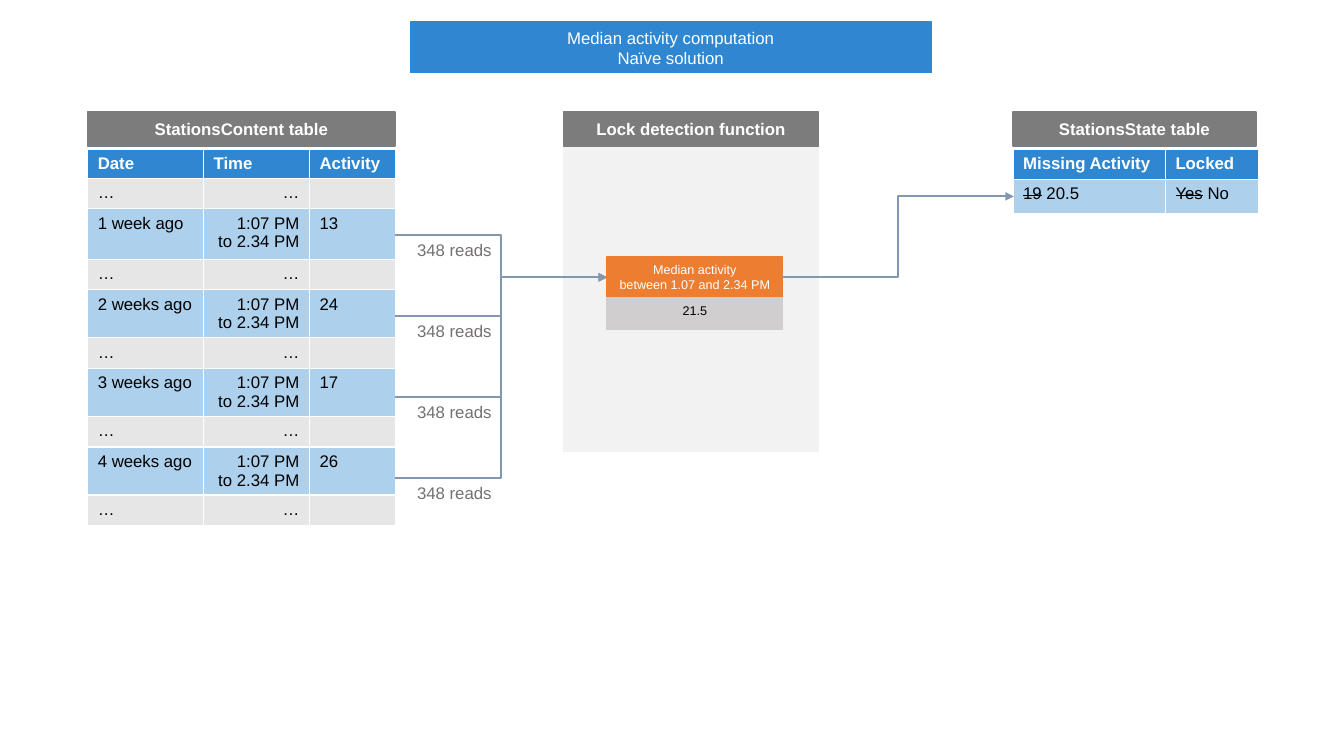
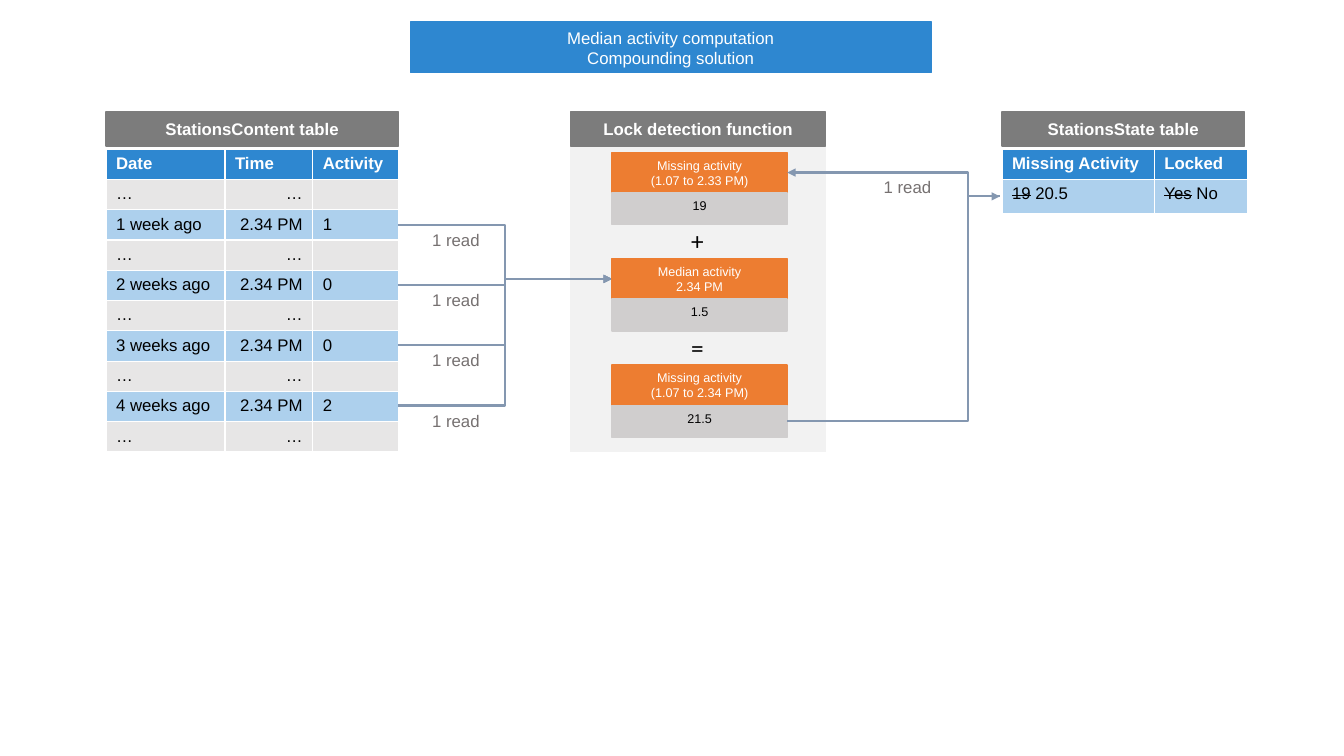
from lxml.etree import SubElement
from pptx import Presentation
from pptx.dml.color import RGBColor
from pptx.enum.shapes import MSO_CONNECTOR, MSO_SHAPE
from pptx.enum.text import MSO_ANCHOR, PP_ALIGN
from pptx.oxml.ns import qn
from pptx.util import Cm, Pt

BLUE, LIGHT_BLUE, GREY = "2E87D0", "ADD0ED", "E7E6E6"
HEADER, PANEL = "7C7C7C", "F2F2F2"
ORANGE, SILVER = "ED7D31", "D0CECE"
WHITE, BLACK, LABEL, WIRE = "FFFFFF", "000000", "767171", "8497B0"

HEADER_TOP, HEADER_HEIGHT, TABLE_TOP = 2.82, 0.86, 3.76
FUNCTION_WIDTH, PANEL_HEIGHT = 6.43, 7.7
CARD_WIDTH, CARD_TITLE, CARD_VALUE = 4.42, 1.02, 0.8
ROW, STATE_ARROW = 0.73, 4.95
WEEKS = ["1 week ago", "2 weeks ago", "3 weeks ago", "4 weeks ago"]


def color(value):
    return RGBColor.from_string(value)


def write(frame, lines, size=12, ink=BLACK, bold=False, align=PP_ALIGN.LEFT, font="Arial"):
    for index, line in enumerate(lines):
        paragraph = frame.add_paragraph() if index else frame.paragraphs[0]
        paragraph.alignment = align
        for text, struck in [(line, False)] if isinstance(line, str) else line:
            run = paragraph.add_run()
            run.text = text
            run.font.name, run.font.size, run.font.bold = font, Pt(size), bold
            run.font.color.rgb = color(ink)
            if struck:
                run._r.get_or_add_rPr().set("strike", "sngStrike")
    if not lines:
        frame.paragraphs[0]._p.get_or_add_endParaRPr().set("sz", str(size * 100))


class Diagram:
    def __init__(self):
        self.presentation = Presentation()
        self.presentation.slide_width, self.presentation.slide_height = Cm(33.87), Cm(19.05)
        self.slide = None

    def start(self, subtitle):
        self.slide = self.presentation.slides.add_slide(self.presentation.slide_layouts[6])
        self.box(10.34, 0.56, 13.13, 1.27, BLUE, ["Median activity computation", subtitle])

    def box(self, left, top, width, height, fill, lines=(), anchor=MSO_ANCHOR.MIDDLE, **style):
        shape = self.slide.shapes.add_shape(
            MSO_SHAPE.RECTANGLE, Cm(left), Cm(top), Cm(width), Cm(height))
        shape.shadow.inherit = False
        shape.fill.solid()
        shape.fill.fore_color.rgb = color(fill)
        shape.line.color.rgb = color(fill)
        shape.line.width = Pt(1)
        shape.text_frame.vertical_anchor = anchor
        write(shape.text_frame, lines, **{"ink": WHITE, "align": PP_ALIGN.CENTER, **style})

    def header(self, left, width, title):
        self.box(left, HEADER_TOP, width, HEADER_HEIGHT, HEADER, [title], bold=True)

    def label(self, left, top, width, text, height=0.76, **style):
        shape = self.slide.shapes.add_textbox(Cm(left), Cm(top), Cm(width), Cm(height))
        shape.text_frame.word_wrap = False
        write(shape.text_frame, [text], **style)

    def card(self, left, top, title, value):
        self.box(left, top, CARD_WIDTH, CARD_TITLE, ORANGE, title, size=9)
        self.box(left, top + CARD_TITLE, CARD_WIDTH, CARD_VALUE, SILVER, [value],
                 anchor=MSO_ANCHOR.TOP, size=9, ink=BLACK)

    def arrow(self, start, end, bend=0.5):
        connector = self.slide.shapes.add_connector(
            MSO_CONNECTOR.ELBOW, *(Cm(value) for value in (*start, *end)))
        connector.line.color.rgb = color(WIRE)
        connector.line.width = Pt(1.5)
        properties = connector._element.spPr
        SubElement(properties.find(qn("a:ln")), qn("a:tailEnd"), type="triangle")
        SubElement(properties, qn("a:effectLst"))
        guides = properties.find(qn("a:prstGeom")).get_or_add_avLst()
        SubElement(guides, qn("a:gd"), name="adj1", fmla=f"val {round(bend * 100000)}")

    def table(self, left, widths, heights, rows, fills, right_column=None):
        table = self.slide.shapes.add_table(
            len(rows), len(widths), Cm(left), Cm(TABLE_TOP),
            Cm(sum(widths)), Cm(sum(heights))).table
        for column, width in zip(table.columns, widths):
            column.width = Cm(width)
        for index, (row, height) in enumerate(zip(rows, heights)):
            table.rows[index].height = Cm(height)
            for number, lines in enumerate(row):
                cell = table.cell(index, number)
                self.border(cell)
                cell.fill.solid()
                cell.fill.fore_color.rgb = color(fills[index])
                right = index and number == right_column
                write(cell.text_frame, lines, bold=index == 0,
                      ink=BLACK if index else WHITE,
                      align=PP_ALIGN.RIGHT if right else PP_ALIGN.LEFT)

    def border(self, cell):
        properties = cell._tc.get_or_add_tcPr()
        for side in ("a:lnL", "a:lnR", "a:lnT", "a:lnB"):
            line = SubElement(properties, qn(side), w=str(Pt(1)))
            SubElement(SubElement(line, qn("a:solidFill")), qn("a:srgbClr"), val=WHITE)

    def content_table(self, left, widths, time, activities, heights):
        gap = [["…"], ["…"], []]
        rows = [[["Date"], ["Time"], ["Activity"]], gap]
        for week, activity in zip(WEEKS, activities):
            rows += [[[week], time, [activity]], gap]
        self.header(left, sum(widths), "StationsContent table")
        self.table(left, widths, heights, rows,
                   [BLUE, GREY] + [LIGHT_BLUE, GREY] * len(WEEKS), right_column=1)

    def state_table(self, left):
        self.header(left, 6.12, "StationsState table")
        rows = [[["Missing Activity"], ["Locked"]],
                [[[("19", True), (" 20.5", False)]], [[("Yes", True), (" No", False)]]]]
        self.table(left, [3.84, 2.36], [0.76, 0.86], rows, [BLUE, LIGHT_BLUE])

    def function_panel(self, left):
        top = HEADER_TOP + HEADER_HEIGHT
        self.box(left, top, FUNCTION_WIDTH, PANEL_HEIGHT, PANEL)
        self.header(left, FUNCTION_WIDTH, "Lock detection function")

    def reads(self, start, top, step, target, label_left, label_width, text):
        for index in range(len(WEEKS)):
            y = top + index * step
            self.arrow((start, y), target)
            self.label(label_left, y, label_width, text, ink=LABEL)


def naive_slide(diagram):
    card_left, card_top = 15.3, 6.48
    card_middle = card_top + CARD_TITLE / 2
    diagram.start("Naïve solution")
    diagram.function_panel(14.2)
    diagram.content_table(2.21, [2.92, 2.67, 2.16], ["1:07 PM", "to 2.34 PM"],
                          ["13", "24", "17", "26"],
                          [ROW, ROW, 1.27, ROW] + [1.21, ROW] * 3)
    diagram.reads(9.96, 5.92, 2.04, (card_left, card_middle), 10.26, 2.41, "348 reads")
    diagram.card(card_left, card_top, ["Median activity", "between 1.07 and 2.34 PM"], "21.5")
    diagram.state_table(25.53)
    diagram.arrow((card_left + CARD_WIDTH, card_middle), (25.55, STATE_ARROW))


def compounding_slide(diagram):
    card_left, card_top, card_step = 15.42, 3.84, 2.68
    card_right = card_left + CARD_WIDTH
    card_middle = card_top + CARD_TITLE / 2
    result_middle = card_top + 2 * card_step + CARD_TITLE + CARD_VALUE / 2
    state_point = (25.2, STATE_ARROW)
    diagram.start("Compounding solution")
    diagram.function_panel(14.38)
    diagram.content_table(2.67, [3.0, 2.21, 2.16], ["2.34 PM"],
                          ["1", "0", "0", "2"], [ROW] * 10)
    diagram.reads(10.04, 5.66, 1.52, (card_left, card_middle + card_step), 10.64, 1.73, "1 read")
    cards = [(["Missing activity", "(1.07 to 2.33 PM)"], "19"),
             (["Median activity", "2.34 PM"], "1.5"),
             (["Missing activity", "(1.07 to 2.34 PM)"], "21.5")]
    for index, (title, value) in enumerate(cards):
        diagram.card(card_left, card_top + index * card_step, title, value)
    for index, sign in enumerate("+="):
        diagram.label(17.17, card_top + 1.72 + index * card_step, 0.84, sign,
                      height=1.02, size=18, font="Calibri")
    diagram.arrow((card_right, result_middle), state_point, bend=0.85)
    diagram.arrow(state_point, (card_right, card_middle), bend=0.15)
    diagram.label(22.02, 4.34, 1.73, "1 read", ink=LABEL)
    diagram.state_table(25.25)


def main():
    diagram = Diagram()
    naive_slide(diagram)
    compounding_slide(diagram)
    diagram.presentation.save("out.pptx")


if __name__ == "__main__":
    main()
